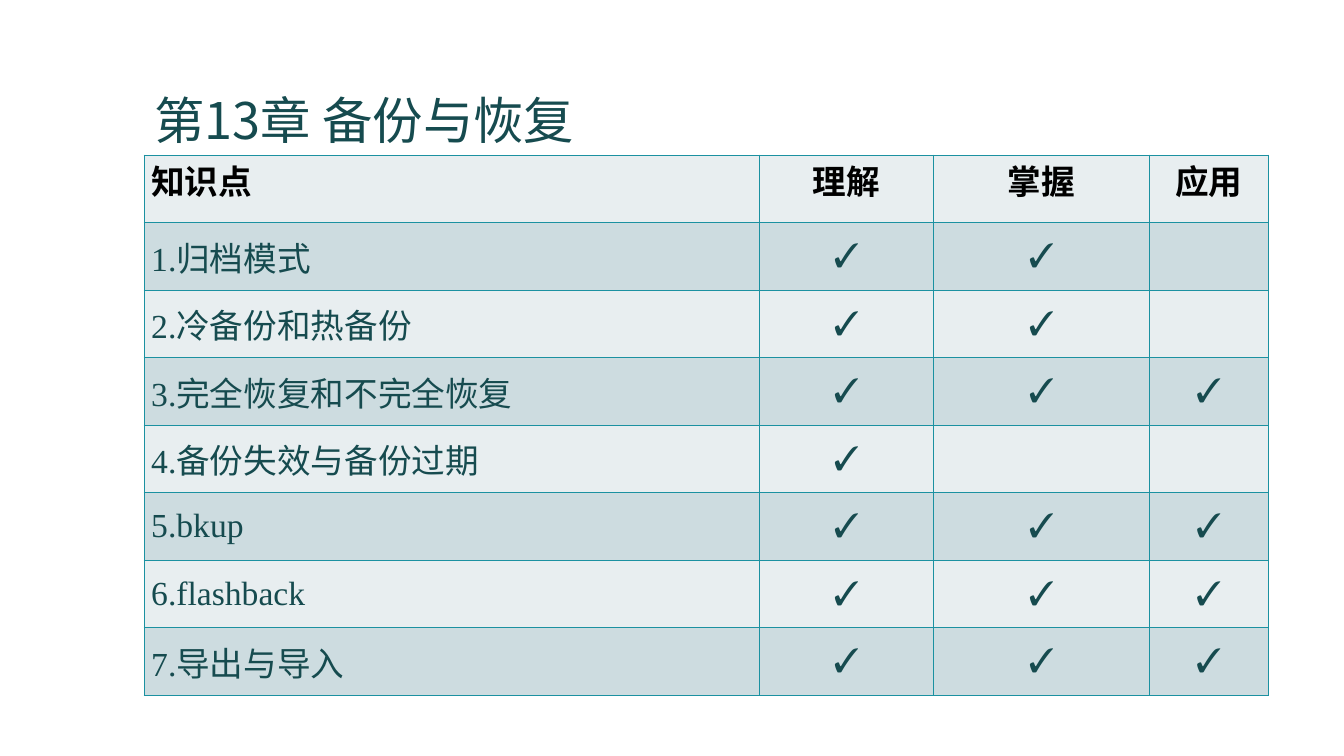
from lxml.etree import SubElement
from pptx import Presentation
from pptx.dml.color import RGBColor
from pptx.enum.text import MSO_ANCHOR as Anchor, PP_ALIGN as Align
from pptx.oxml import parse_xml
from pptx.oxml.ns import nsdecls, qn
from pptx.util import Inches, Pt

SANS, SERIF = "Noto Sans CJK SC", "Times New Roman"
INK, BLACK, LINE = "164B4F", "000000", "1B91A1"
BANDS = ("E8EEF0", "CDDCE0")
CHECK = "✓"

TITLE_BOX = (1.43, 0.29, 10.5, 1.25)
TABLE_BOX = (1.43, 1.54, 11.15, 5.36)
COLUMN_WIDTHS = (6.1, 1.73, 2.14, 1.18)
HEADINGS = ("知识点", "理解", "掌握", "应用")
# Each topic with its marks for the three levels
TOPICS = (
    ("1.归档模式", (1, 1, 0)),
    ("2.冷备份和热备份", (1, 1, 0)),
    ("3.完全恢复和不完全恢复", (1, 1, 1)),
    ("4.备份失效与备份过期", (1, 0, 0)),
    ("5.bkup", (1, 1, 1)),
    ("6.flashback", (1, 1, 1)),
    ("7.导出与导入", (1, 1, 1)),
)


def color(value):
    return RGBColor.from_string(value)


def add_run(paragraph, text, size, font, ink, bold=False):
    run = paragraph.add_run()
    run.text = text
    run.font.size = Pt(size)
    run.font.name = font
    run.font.bold = bold
    run.font.color.rgb = color(ink)
    # Chinese characters always use the sans face
    SubElement(run.font._element, qn("a:ea"), typeface=SANS)


def set_borders(cell):
    properties = cell._tc.get_or_add_tcPr()
    for index, side in enumerate("LRTB"):
        properties.insert(index, parse_xml(
            f'<a:ln{side} {nsdecls("a")} w="{Pt(1)}"><a:solidFill>'
            f'<a:srgbClr val="{LINE}"/></a:solidFill></a:ln{side}>'))


def add_title(slide, box):
    title = slide.shapes.title
    title.left, title.top, title.width, title.height = map(Inches, box)
    frame = title.text_frame
    frame.word_wrap = True
    frame.vertical_anchor = Anchor.BOTTOM
    paragraph = frame.paragraphs[0]
    paragraph.alignment = Align.LEFT
    paragraph.line_spacing = 0.9
    add_run(paragraph, "第13章 备份与恢复", 36, SANS, INK)


def fill_cell(cell, text, row, column):
    header = row == 0
    cell.fill.solid()
    cell.fill.fore_color.rgb = color(BANDS[row % 2])
    set_borders(cell)
    cell.margin_left = cell.margin_right = Inches(0.07)
    cell.margin_top = cell.margin_bottom = Inches(0 if header else 0.04)
    cell.vertical_anchor = Anchor.TOP if header else Anchor.MIDDLE
    if text:
        paragraph = cell.text_frame.paragraphs[0]
        paragraph.alignment = Align.CENTER if column else Align.LEFT
        font, ink = (SANS, BLACK) if header else (SERIF, INK)
        add_run(paragraph, text, 24, font, ink, bold=header)


def add_topic_table(slide, box):
    rows = [HEADINGS]
    for topic, marks in TOPICS:
        rows.append((topic, *(CHECK if mark else "" for mark in marks)))
    table = slide.shapes.add_table(
        len(rows), len(HEADINGS), *map(Inches, box)).table
    for column, width in zip(table.columns, COLUMN_WIDTHS):
        column.width = Inches(width)
    for row, texts in enumerate(rows):
        for column, text in enumerate(texts):
            fill_cell(table.cell(row, column), text, row, column)


def main():
    presentation = Presentation()
    presentation.slide_width = Inches(13.33)
    presentation.slide_height = Inches(7.5)
    slide = presentation.slides.add_slide(presentation.slide_layouts[5])
    add_title(slide, TITLE_BOX)
    add_topic_table(slide, TABLE_BOX)
    presentation.save("out.pptx")


if __name__ == "__main__":
    main()
